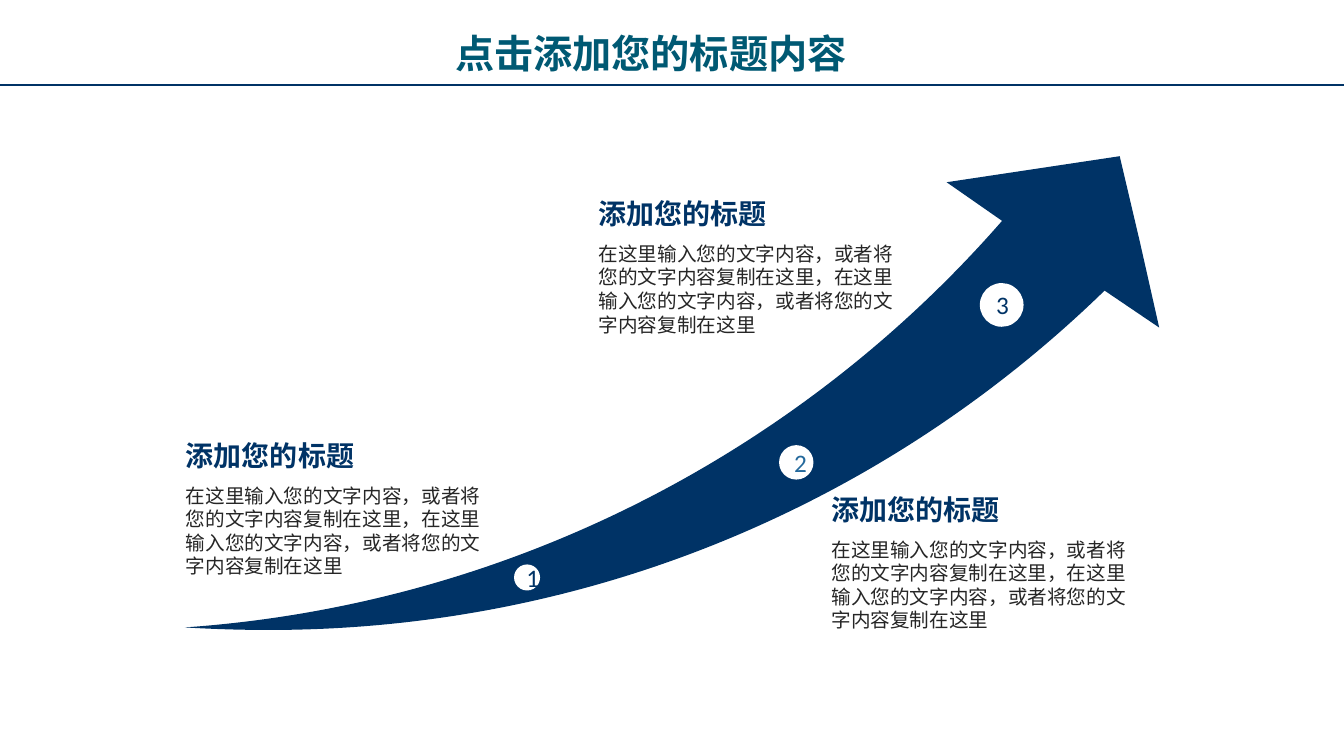
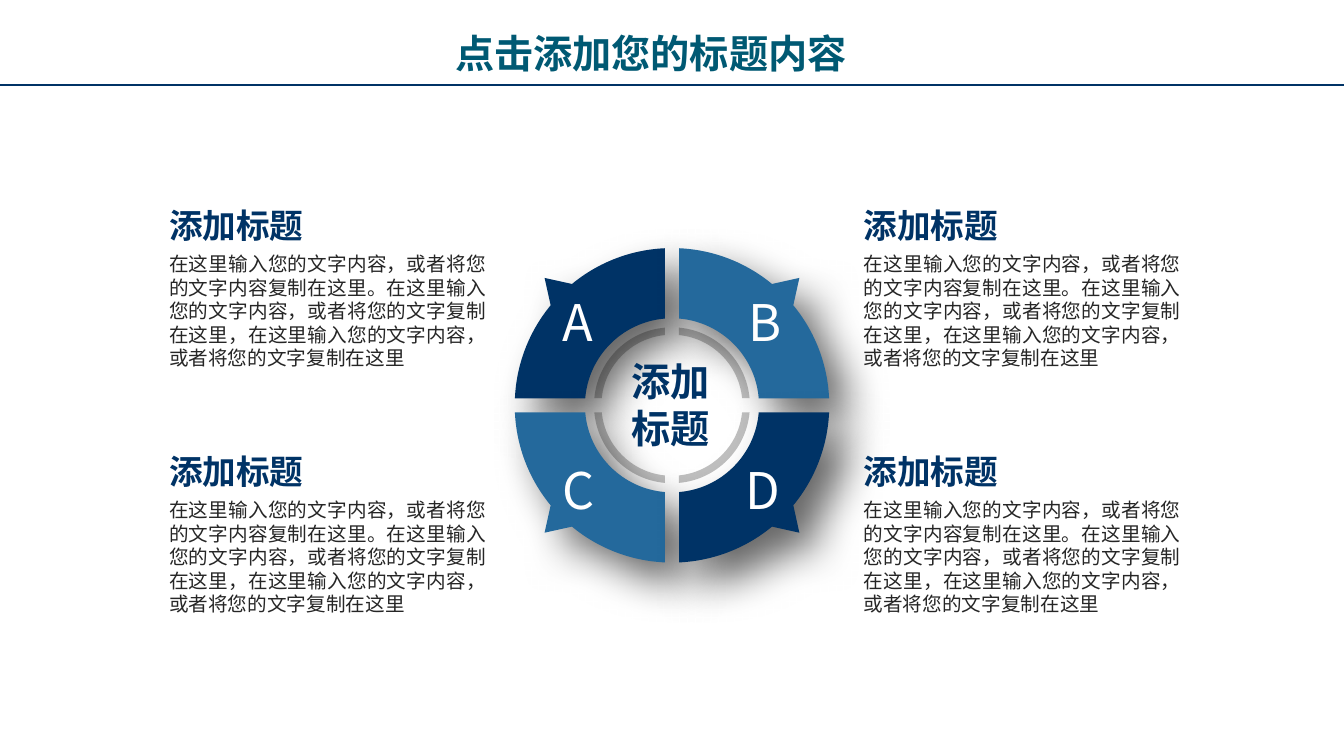
import math

import lxml.etree
import pptx
import pptx.dml.color
import pptx.enum.shapes
import pptx.enum.text
import pptx.oxml
import pptx.oxml.ns
import pptx.util

COLUMNS, ROWS = 160, 90
CELL = pptx.util.Inches(7.5) / ROWS
NAVY, BLUE, TEAL = "003366", "24699C", "005973"
INK, GREY, WHITE = "262626", "BFBFBF", "FFFFFF"
CJK, LATIN = "Noto Sans CJK SC", "Calibri"
ALIGN = pptx.enum.text.PP_ALIGN
ANCHOR = pptx.enum.text.MSO_ANCHOR

TITLE = "点击添加您的标题内容"
ARROW_HEADING = "添加您的标题"
ARROW_BODY = "在这里输入您的文字内容，或者将您的文字内容复制在这里，在这里输入您的文字内容，或者将您的文字内容复制在这里"
WHEEL_HEADING = "添加标题"
WHEEL_BODY = (
    "在这里输入您的文字内容，或者将您的文字内容复制在这里。在这里输入您的文字内容，"
    "或者将您的文字复制在这里，在这里输入您的文字内容，或者将您的文字复制在这里"
)


def grid(cells):
    """Turn a number of grid cells into a length."""
    return pptx.util.Emu(round(cells * CELL))


def color(hex_string):
    """Turn a hex string into a colour."""
    return pptx.dml.color.RGBColor.from_string(hex_string)


def paint(shape, fill):
    """Give a shape a flat fill without line or shadow."""
    shape.shadow.inherit = False
    shape.fill.solid()
    shape.fill.fore_color.rgb = color(fill)
    shape.line.fill.background()


def write(frame, text, size, ink, font=CJK, bold=False, align=ALIGN.LEFT,
          anchor=ANCHOR.TOP, wrap=True):
    """Write one formatted paragraph into a text frame."""
    frame.word_wrap = wrap
    frame.vertical_anchor = anchor
    paragraph = frame.paragraphs[0]
    paragraph.alignment = align
    run = paragraph.add_run()
    run.text = text
    run.font.size = pptx.util.Pt(size)
    run.font.bold = bold
    run.font.name = font
    run.font.color.rgb = color(ink)
    east_asian = lxml.etree.SubElement(run.font._element, pptx.oxml.ns.qn("a:ea"))
    east_asian.set("typeface", font)


def add_text(slide, box, text, **style):
    """Add a text box at a grid box of left, top, width and height."""
    frame = slide.shapes.add_textbox(*map(grid, box)).text_frame
    frame.auto_size = pptx.enum.text.MSO_AUTO_SIZE.SHAPE_TO_FIT_TEXT
    write(frame, text, **style)
    return frame


def add_header(slide):
    """Add the title and the rule below it."""
    rule = slide.shapes.add_connector(
        pptx.enum.shapes.MSO_CONNECTOR.STRAIGHT, 0, grid(10.15), grid(COLUMNS), grid(10.15))
    rule.line.color.rgb = color(NAVY)
    rule.line.width = pptx.util.Pt(1.5)
    lxml.etree.SubElement(rule._element.spPr, pptx.oxml.ns.qn("a:effectLst"))
    add_text(slide, (53, 2.9, 54, 6.8), TITLE, size=28, ink=TEAL, bold=True)


def add_caption(slide, heading_box, body_box, heading, body, size, align=ALIGN.LEFT):
    """Add a heading and its body text in their grid boxes."""
    add_text(slide, heading_box, heading, size=size, ink=NAVY, bold=True)
    add_text(slide, body_box, body, size=14, ink=INK, align=align)


def add_outline(slide, left, top, contours, fill):
    """Add closed contours of lines (one point) and curves (three points)."""
    def place(point):
        """Turn a relative grid point into slide lengths."""
        return grid(left + point[0]), grid(top + point[1])

    builder = None
    for (start,), *segments in contours:
        if builder is None:
            builder = slide.shapes.build_freeform(*place(start), scale=1.0)
        else:
            builder.move_to(*place(start))
        builder.add_line_segments(
            [place(point) for segment in segments for point in segment], close=True)
    outline = builder.convert_to_shape()
    lines = outline._element.iter(pptx.oxml.ns.qn("a:lnTo"))
    lines = iter(list(lines))
    for _, *segments in contours:
        for segment in segments:
            steps = [next(lines) for _ in segment]
            if len(steps) == 3:
                curve = lxml.etree.Element(pptx.oxml.ns.qn("a:cubicBezTo"))
                steps[0].addprevious(curve)
                for step in steps:
                    curve.append(step[0])
                    step.getparent().remove(step)
    paint(outline, fill)
    return outline


def add_growth_arrow(slide, left, top):
    """Add the rising arrow and its numbered badges."""
    arrow = [
        [(109.5, 16)],
        [(83.8, 41), (48.8, 56.4), (10, 56.4)],
        [(6.7, 56.4), (3.3, 56.3), (0, 56.1)],
        [(38.7, 53.4), (73.3, 35.2), (97.3, 7.7)],
        [(90.7, 3.1)], [(101, 1.55)], [(111.3, 0)], [(113.7, 10.2)], [(116, 20.4)],
    ]
    add_outline(slide, left, top, [arrow], NAVY)
    badges = ((40.75, 50.15, 3.1, NAVY), (72.8, 36.45, 4.1, BLUE), (97.25, 17.7, 5.2, NAVY))
    for number, (x, y, diameter, ink) in enumerate(badges, 1):
        badge = slide.shapes.add_shape(
            pptx.enum.shapes.MSO_SHAPE.OVAL,
            grid(left + x - diameter / 2), grid(top + y - diameter / 2),
            grid(diameter), grid(diameter))
        paint(badge, WHITE)
        write(badge.text_frame, str(number), size=18, ink=ink, font=LATIN,
              align=ALIGN.CENTER, anchor=ANCHOR.MIDDLE)


def polar(radius, angle):
    """Return the point at a radius and an angle."""
    return radius * math.cos(angle), radius * math.sin(angle)


def arc(radius, start, end):
    """Return the start point and the curve of an arc between two angles."""
    handle = 4 / 3 * math.tan((end - start) / 4)
    (x1, y1), (x2, y2) = polar(radius, start), polar(radius, end)
    curve = [(x1 - handle * y1, y1 + handle * x1), (x2 + handle * y2, y2 - handle * x2), (x2, y2)]
    return [[(x1, y1)], curve]


def quarter(outer, inner, half_gap, tip=None):
    """Return a quarter band that leaves a gap at both axes, with an optional tip."""
    outer_gap, inner_gap = (math.asin(half_gap / radius) for radius in (outer, inner))
    right = math.pi / 2
    inside = arc(inner, right - inner_gap, inner_gap)
    if tip is None:
        return arc(outer, outer_gap, right - outer_gap) + inside
    middle, spread = math.pi / 4, math.radians(5.5)
    return (arc(outer, outer_gap, middle - spread) + [[polar(tip, middle)]]
            + arc(outer, middle + spread, right - outer_gap) + inside)


def add_shadow(shape):
    """Give a shape a soft shadow towards the lower right."""
    effects = shape._element.spPr.find(pptx.oxml.ns.qn("a:effectLst"))
    effects.append(pptx.oxml.parse_xml(
        f'<a:outerShdw {pptx.oxml.ns.nsdecls("a")} blurRad="{pptx.util.Pt(30)}" '
        f'dist="{pptx.util.Pt(20)}" dir="2700000" algn="tl" rotWithShape="0">'
        '<a:srgbClr val="000000"><a:alpha val="60000"/></a:srgbClr></a:outerShdw>'))


def add_wheel(slide, center_x, center_y):
    """Add the ring, the four lettered sectors and the central label."""
    ring = quarter(9.28, 8.4, 0.84)
    sector = quarter(18.72, 10.36, 0.84, tip=21.45)
    quadrants = (
        ("A", -1, -1, NAVY, -14, 6.2), ("C", -1, 1, BLUE, -14, 6.1),
        ("B", 1, -1, BLUE, 8.1, 5.8), ("D", 1, 1, NAVY, 7.75, 6.6))

    def mirrored(contour, side, level):
        """Reflect a contour into a quadrant."""
        return [[(side * x, level * y) for x, y in segment] for segment in contour]

    add_outline(slide, center_x, center_y,
                [mirrored(ring, side, level) for _, side, level, *_ in quadrants], GREY)
    for _, side, level, fill, *_ in quadrants:
        add_shadow(add_outline(slide, center_x, center_y, [mirrored(sector, side, level)], fill))
    add_text(slide, (center_x - 7.4, center_y - 6.25, 14.4, 12.5), WHEEL_HEADING,
             size=28, ink=NAVY, bold=True, align=ALIGN.CENTER)
    for letter, _, level, _, left, width in quadrants:
        frame = add_text(
            slide, (center_x + left, center_y + level * 10 - 4.1, width, 8.3), letter,
            size=36, ink=WHITE, anchor=ANCHOR.MIDDLE, wrap=False)
        frame.margin_left = frame.margin_right = pptx.util.Inches(0.08)
        frame.margin_top = frame.margin_bottom = pptx.util.Inches(0.04)


def build_arrow_slide(slide):
    """Build the slide with the rising arrow."""
    add_header(slide)
    add_growth_arrow(slide, 22, 18.6)
    for left, top, width in ((20.95, 51.6, 38.9), (70.1, 22.8, 39.4), (97.8, 58, 38.4)):
        add_caption(slide, (left, top, 26, 5.3), (left, top + 5.4, width, 12.5),
                    ARROW_HEADING, ARROW_BODY, 20)


def build_wheel_slide(slide):
    """Build the slide with the four-part wheel."""
    add_header(slide)
    add_wheel(slide, 80, 48.25)
    for top in (23.8, 53.1):
        for left in (18.95, 101.65):
            add_caption(slide, (left, top, 40.1, 6), (left, top + 5.6, 40.1, 18.1),
                        WHEEL_HEADING, WHEEL_BODY, 24, ALIGN.JUSTIFY)


def main():
    """Build and save the presentation."""
    deck = pptx.Presentation()
    deck.slide_width, deck.slide_height = grid(COLUMNS), grid(ROWS)
    for build in (build_arrow_slide, build_wheel_slide):
        build(deck.slides.add_slide(deck.slide_layouts[6]))
    deck.save("out.pptx")


if __name__ == "__main__":
    main()
